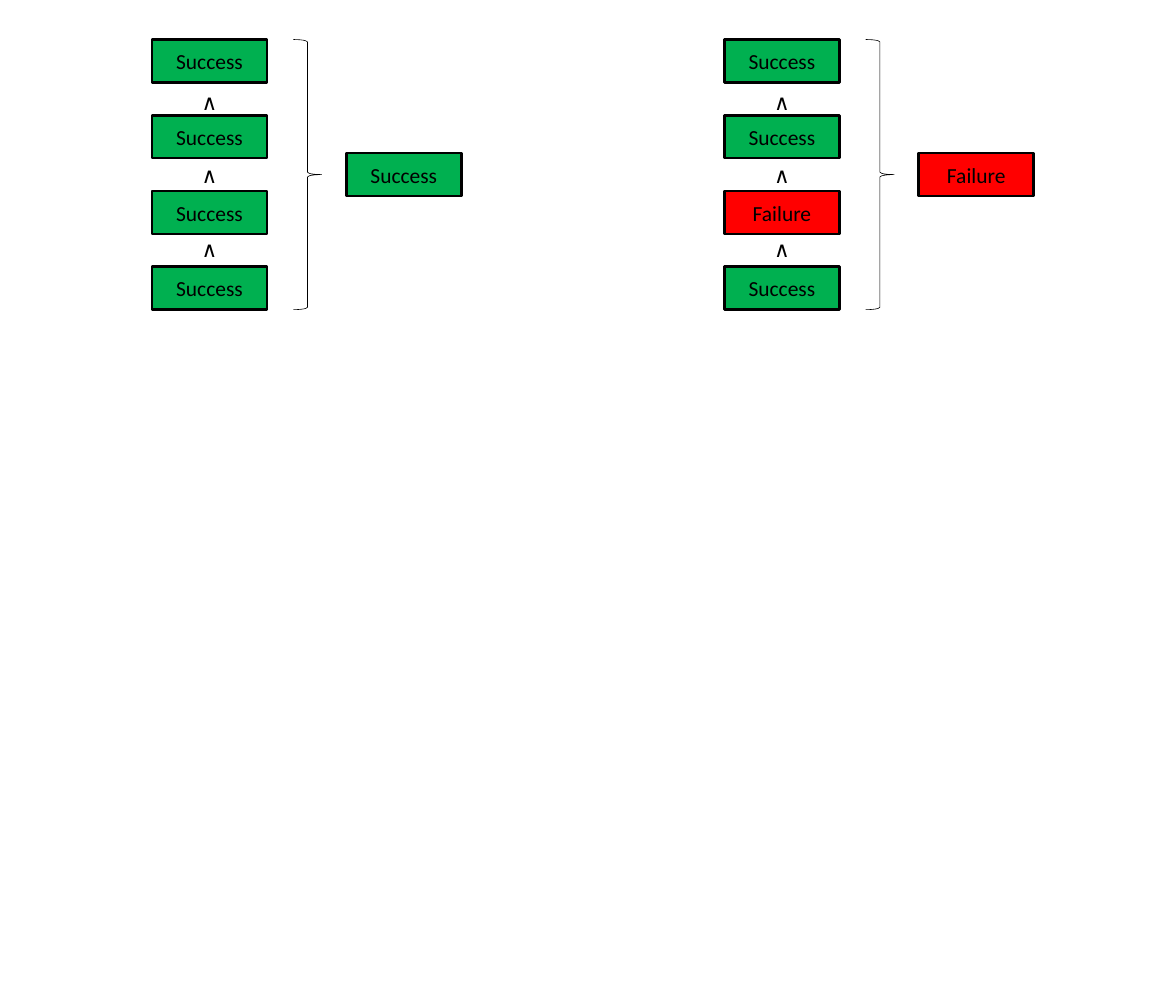
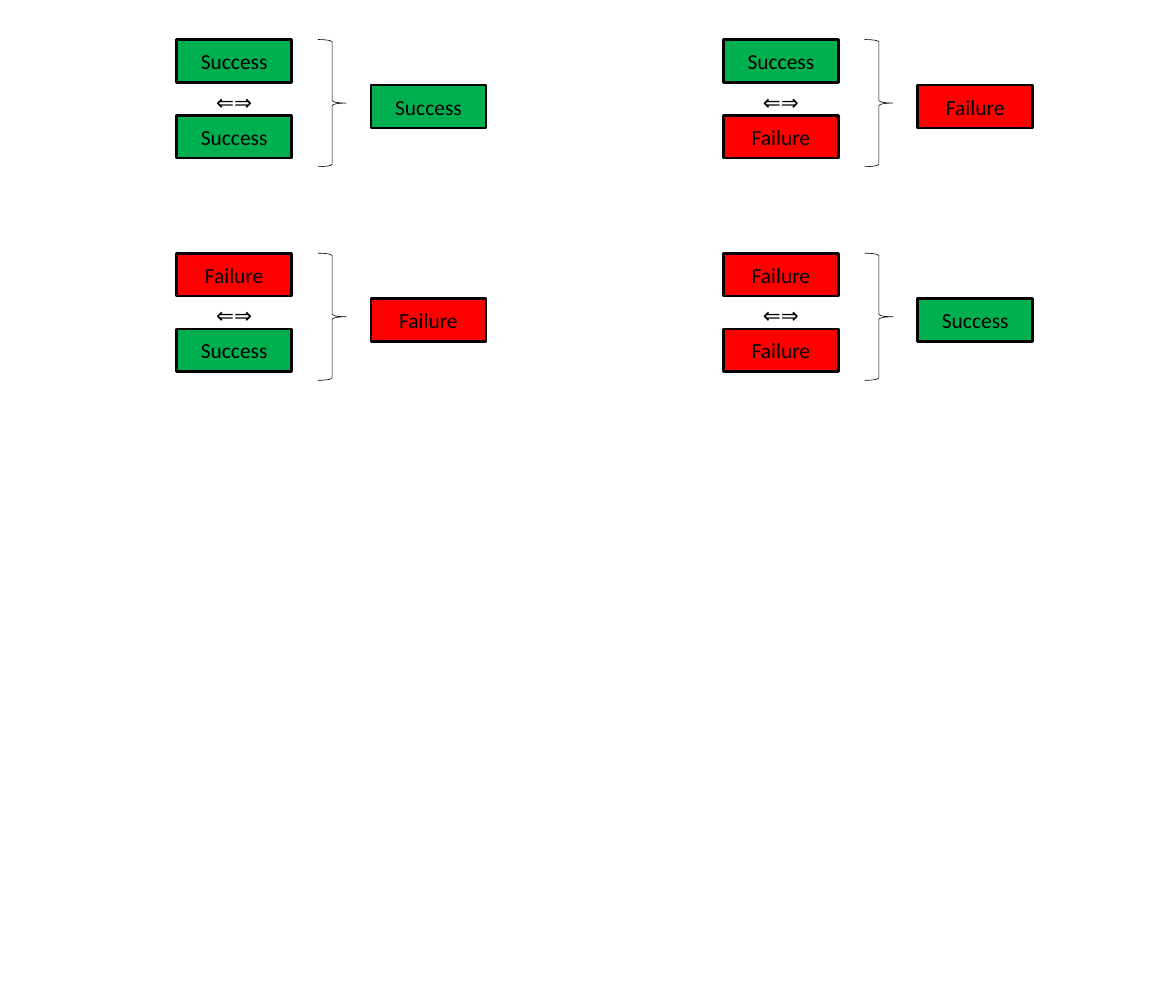
from dataclasses import dataclass

from pptx import Presentation
from pptx.dml.color import RGBColor
from pptx.enum import shapes, text
from pptx.util import Cm, Pt


@dataclass(frozen=True)
class Theme:
    success: RGBColor = RGBColor(0x00, 0xB0, 0x50)
    failure: RGBColor = RGBColor(0xFF, 0x00, 0x00)
    ink: RGBColor = RGBColor(0x00, 0x00, 0x00)
    font: str = "Calibri"
    size: Pt = Pt(18)
    box_line: Pt = Pt(2.25)
    brace_line: Pt = Pt(0.5)


THEME = Theme()
SUCCESS, FAILURE = "Success", "Failure"
FILLS = {SUCCESS: THEME.success, FAILURE: THEME.failure}

SLIDE_W, SLIDE_H = Cm(34.8), Cm(29.46)
TOP = Cm(1.17)
BOX_W, BOX_H, BOX_STEP = Cm(3.4), Cm(1.27), Cm(2.24)
OP_W, OP_H, OP_DROP, OP_STEP = Cm(1.63), Cm(1.02), Cm(1.33), Cm(2.18)
BRACE_X, BRACE_W = Cm(4.18), Cm(0.84)
RESULT_X = Cm(5.75)


def set_text(sp, content):
    tf = sp.text_frame
    tf.word_wrap = True
    p = tf.paragraphs[0]
    p.alignment = text.PP_ALIGN.CENTER
    r = p.add_run()
    r.text = content
    for name, value in {"name": THEME.font, "size": THEME.size}.items():
        setattr(r.font, name, value)
    r.font.color.rgb = THEME.ink
    return tf


def add_outlined(s, kind, box, line_width):
    sp = s.shapes.add_shape(kind, *box)
    sp.shadow.inherit = False
    sp.line.color.rgb = THEME.ink
    sp.line.width = line_width
    return sp


def add_state(s, left, top, state):
    sp = add_outlined(s, shapes.MSO_SHAPE.RECTANGLE,
                      (left, top, BOX_W, BOX_H), THEME.box_line)
    sp.fill.solid()
    sp.fill.fore_color.rgb = FILLS[state]
    set_text(sp, state).vertical_anchor = text.MSO_ANCHOR.MIDDLE


def add_operator(s, left, top, symbol):
    sp = s.shapes.add_textbox(left, top, OP_W, OP_H)
    tf = set_text(sp, symbol)
    tf.margin_left = tf.margin_right = 0


def add_brace(s, left, top, height):
    sp = add_outlined(s, shapes.MSO_SHAPE.RIGHT_BRACE,
                      (left, top, BRACE_W, height), THEME.brace_line)
    sp.fill.background()


def add_evaluation(s, left, top, states, symbol, result, tail=0, drop=0):
    """Stack states joined by symbol and brace them to their result.

    tail extends the brace below the stack; drop lowers the result box.
    """
    for i, state in enumerate(states):
        add_state(s, left, top + i * BOX_STEP, state)
    height = (len(states) - 1) * BOX_STEP + BOX_H + tail
    add_brace(s, left + BRACE_X, top, height)
    add_state(s, left + RESULT_X, top + (height - BOX_H) // 2 + drop, result)
    for i in range(len(states) - 1):
        add_operator(s, left + (BOX_W - OP_W) // 2,
                     top + OP_DROP + i * OP_STEP, symbol)


def conjunction_slide(s):
    cases = [
        (Cm(4.5), [SUCCESS] * 4, SUCCESS),
        (Cm(21.44), [SUCCESS, SUCCESS, FAILURE, SUCCESS], FAILURE),
    ]
    for left, states, result in cases:
        add_evaluation(s, left, TOP, states, "∧", result)


def equivalence_slide(s):
    lefts, row_step = (Cm(5.23), Cm(21.41)), Cm(6.32)
    for row, first in enumerate((SUCCESS, FAILURE)):
        # The right column always pairs with a failure.
        for left, second in zip(lefts, (SUCCESS, FAILURE)):
            result = SUCCESS if first == second else FAILURE
            add_evaluation(s, left, TOP + row * row_step, [first, second],
                           "⇐⇒", result, tail=Cm(0.25), drop=Cm(0.1))


def main():
    prs = Presentation()
    prs.slide_width, prs.slide_height = SLIDE_W, SLIDE_H
    blank = prs.slide_layouts[6]
    for build in (conjunction_slide, equivalence_slide):
        build(prs.slides.add_slide(blank))
    prs.save("out.pptx")


if __name__ == "__main__":
    main()
